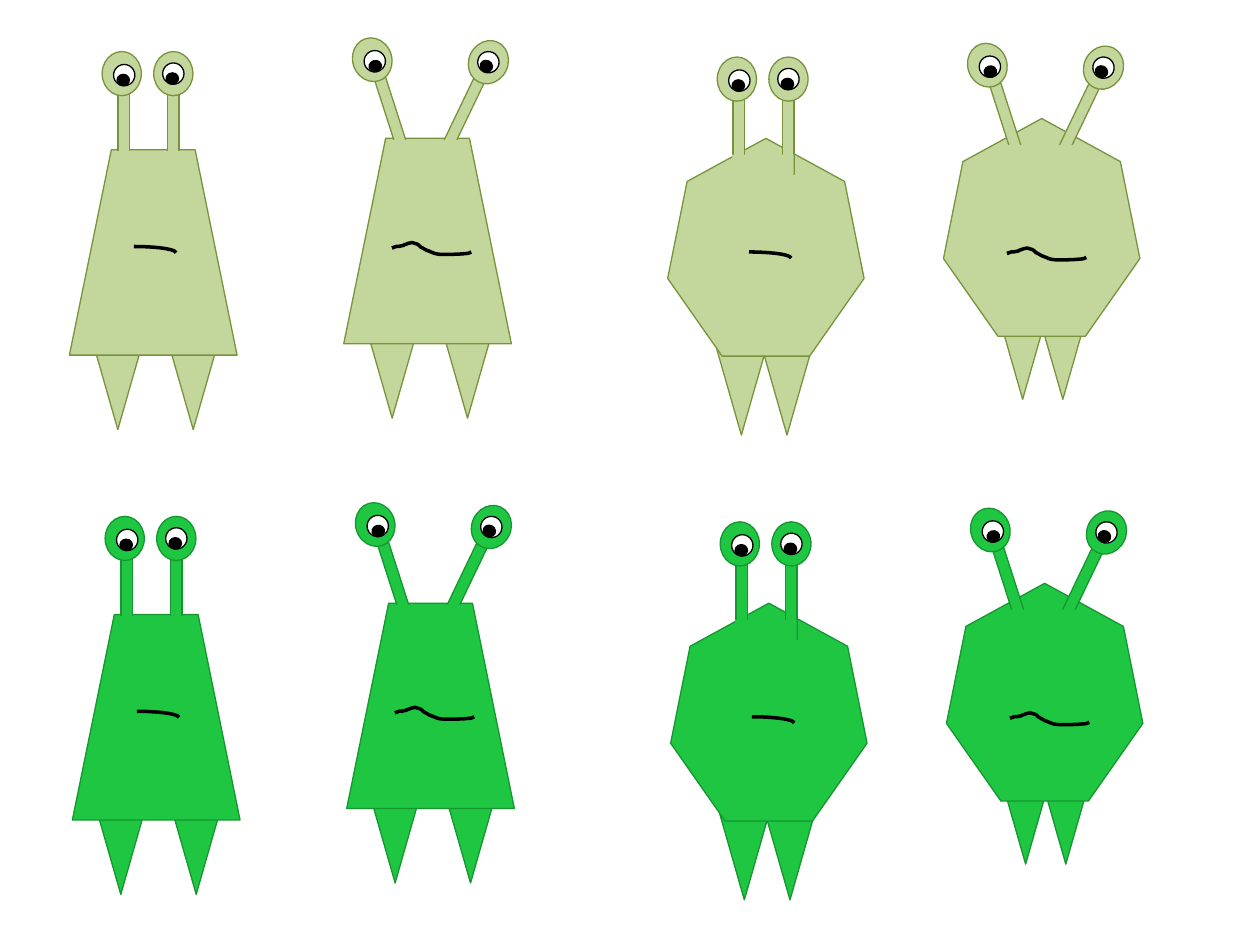
"""Build a slide with two rows of four cartoon aliens."""
from pptx import Presentation
from pptx.dml.color import RGBColor
from pptx.enum.shapes import MSO_SHAPE as Shape
from pptx.util import Cm, Pt

BLACK = RGBColor(0x00, 0x00, 0x00)
WHITE = RGBColor(0xFF, 0xFF, 0xFF)
SAGE = RGBColor(0xC3, 0xD6, 0x9B)
OLIVE = RGBColor(0x77, 0x93, 0x3C)
GREEN = RGBColor(0x1F, 0xC6, 0x42)
DARK_GREEN = RGBColor(0x15, 0x96, 0x30)


def paint(part, fill, line, width=0.75, rotation=0):
    part.shadow.inherit = False
    part.rotation = rotation
    if fill is None:
        part.fill.background()
    else:
        part.fill.solid()
        part.fill.fore_color.rgb = fill
    if line is None:
        part.line.fill.background()
    else:
        part.line.color.rgb = line
        part.line.width = Pt(width)


def draw(shapes, kind, x, y, size, fill, line, **look):
    part = shapes.add_shape(kind, Cm(x), Cm(y), Cm(size[0]), Cm(size[1]))
    paint(part, fill, line, **look)


LEG = (0.99, 1.73)
STALK = (0.23, 1.78)
EYE = (0.79, 0.89)
EYEBALL = (0.43, 0.43)
PUPIL = (0.25, 0.23)
SMILE = (1.70, 0.25)
CONE = (Shape.TRAPEZOID, (3.38, 4.14))
ROUND = (Shape.HEPTAGON, (3.96, 4.39))

STRAIGHT_EYES = [
    (0, [(2.38, 1.63), (2.06, 1.04), (2.29, 1.30), (2.36, 1.50)]),
    (0, [(3.38, 1.63), (3.10, 1.04), (3.28, 1.27), (3.35, 1.47)]),
]
TILTED_EYES = [
    (25.6, [(9.27, 1.30), (9.45, 0.81), (9.63, 1.04), (9.68, 1.22)]),
    (-17.8, [(7.75, 1.32), (7.11, 0.76), (7.34, 1.02), (7.44, 1.22)]),
]
WAVE_START = (7.90, 5.00)
WAVE_CURVES = [
    ((8.10, 4.93), (7.92, 5.00), (8.13, 4.95)),
    ((8.15, 4.93), (8.18, 4.93), (8.20, 4.92)),
    ((8.23, 4.90), (8.28, 4.90), (8.31, 4.89)),
    ((8.41, 4.93), (8.41, 4.90), (8.48, 4.98)),
    ((8.53, 5.00), (8.59, 5.05), (8.64, 5.06)),
    ((8.81, 5.13), (8.74, 5.11), (8.89, 5.13)),
    ((9.07, 5.13), (9.25, 5.13), (9.42, 5.11)),
    ((9.45, 5.11), (9.50, 5.08), (9.50, 5.08)),
]
CURVE_STEPS = 4

wave = [WAVE_START]
for first, second, end in WAVE_CURVES:
    start = wave[-1]
    for step in range(1, CURVE_STEPS + 1):
        t = step / CURVE_STEPS
        weights = ((1 - t) ** 3, 3 * t * (1 - t) ** 2, 3 * t * t * (1 - t), t ** 3)
        corners = (start, first, second, end)
        wave.append(tuple(sum(w * c[axis] for w, c in zip(weights, corners))
                          for axis in (0, 1)))

ALIENS = [
    dict(body=ROUND, at=(19.02, 2.39), legs=(1.91, 1.10), leg_top=3.93,
         tilted=True, shift=(12.40, 0.11), brow=(20.27, 2.92, 1.52)),
    dict(body=ROUND, at=(13.46, 2.79), legs=(1.91, 0.99), leg_top=4.25,
         tilted=False, shift=(12.40, 0.11), brow=(14.76, 3.12, 1.24)),
    dict(body=CONE, at=(1.40, 3.02), legs=(2.00, 0.48), leg_top=3.91,
         tilted=False, shift=(0, 0), brow=(2.34, 3.05, 1.52)),
    dict(body=CONE, at=(6.93, 2.79), legs=(2.00, 0.48), leg_top=3.91,
         tilted=True, shift=(0, 0), brow=(7.87, 2.82, 1.52)),
]
ROWS = [
    (0, 0, SAGE, OLIVE, None),
    (0.06, 9.37, GREEN, DARK_GREEN, GREEN),
]

deck = Presentation()
deck.slide_width, deck.slide_height = Cm(25.4), Cm(19.05)
slide = deck.slides.add_slide(deck.slide_layouts[6])

for row_x, row_y, skin, outline, mouth_fill in ROWS:
    eye_parts = [
        (Shape.RECTANGLE, STALK, skin, outline),
        (Shape.OVAL, EYE, skin, outline),
        (Shape.OVAL, EYEBALL, WHITE, BLACK),
        (Shape.OVAL, PUPIL, BLACK, BLACK),
    ]
    for alien in ALIENS:
        body_x, body_y = alien["at"][0] + row_x, alien["at"][1] + row_y
        face_x, face_y = alien["shift"][0] + row_x, alien["shift"][1] + row_y
        for leg_x in alien["legs"]:
            draw(slide.shapes, Shape.ISOSCELES_TRIANGLE, body_x + leg_x,
                 body_y + alien["leg_top"], LEG, skin, outline, rotation=180)
        kind, size = alien["body"]
        draw(slide.shapes, kind, body_x, body_y, size, skin, outline)

        for tilt, places in TILTED_EYES if alien["tilted"] else STRAIGHT_EYES:
            eye = slide.shapes.add_group_shape()
            for (x, y), (kind, size, fill, line) in zip(places, eye_parts):
                draw(eye.shapes, kind, face_x + x, face_y + y, size, fill, line,
                     rotation=tilt)

        brow_x, brow_y, brow_width = alien["brow"]
        draw(slide.shapes, Shape.RECTANGLE, brow_x + row_x, brow_y + row_y,
             (brow_width, 0.81), skin, None)

        if alien["tilted"]:
            points = [(Cm(face_x + x), Cm(face_y + y)) for x, y in wave]
            builder = slide.shapes.build_freeform(*points[0])
            builder.add_line_segments(points[1:], close=False)
            paint(builder.convert_to_shape(), mouth_fill, BLACK, width=2)
        else:
            draw(slide.shapes, Shape.ARC, face_x + 1.85, face_y + 4.97, SMILE,
                 mouth_fill, BLACK, width=2)

deck.save("out.pptx")
